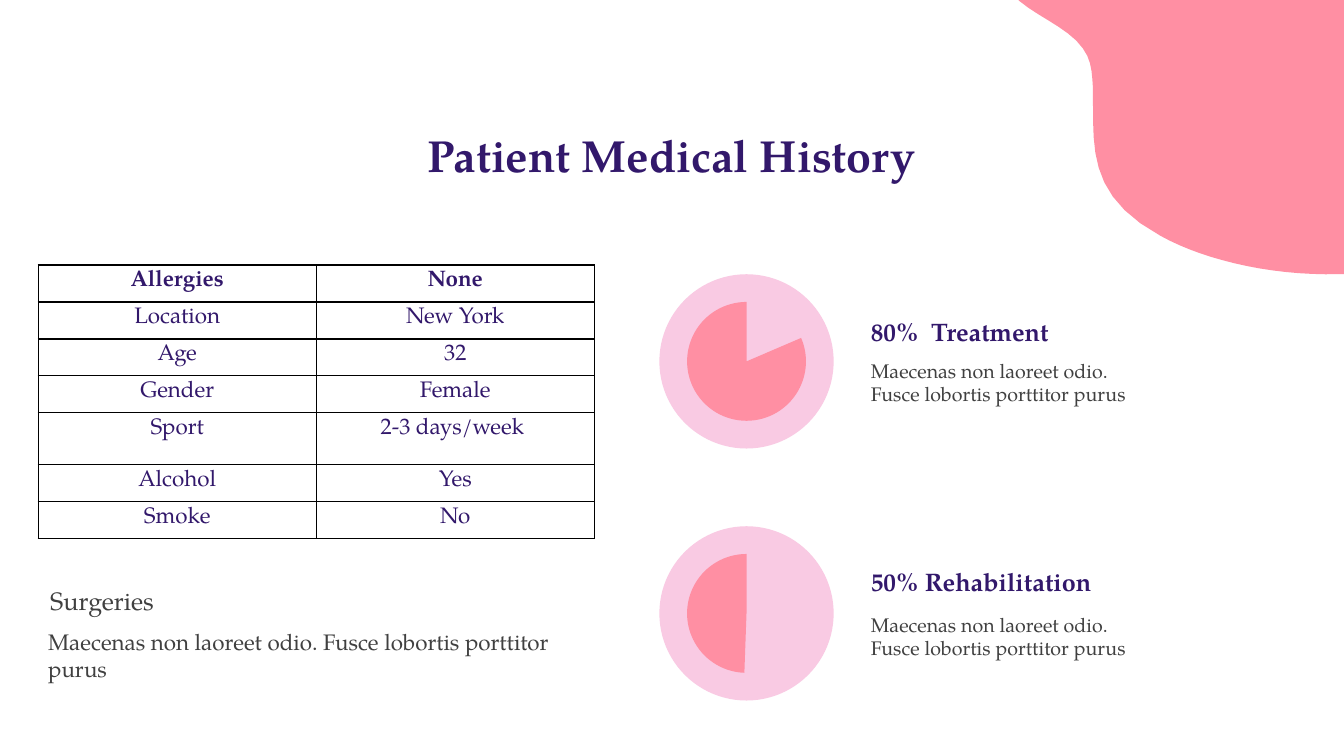
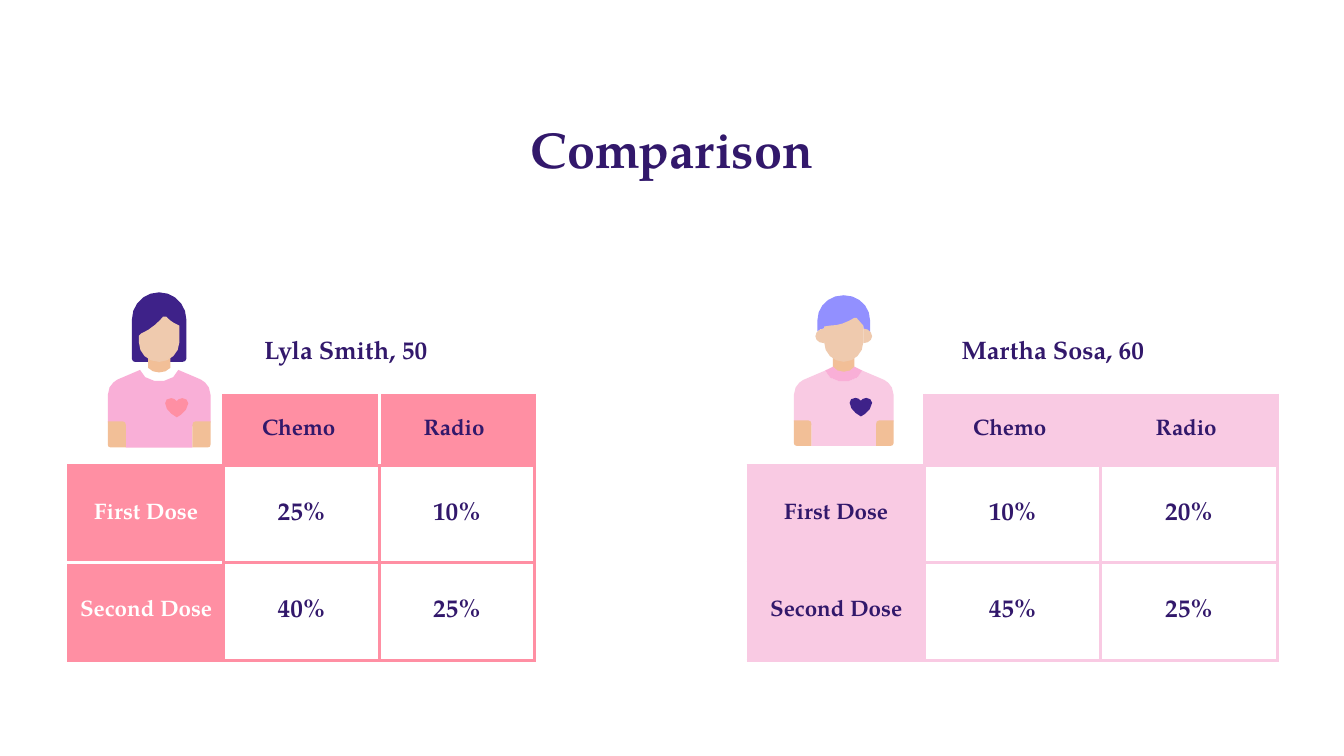
import math
from dataclasses import dataclass

import lxml.etree
import pptx
import pptx.dml.color
import pptx.enum.shapes
import pptx.enum.text
import pptx.oxml.ns
import pptx.util

# Shared style: a grid of 32 columns by 18 rows of square cells
COLUMNS, ROWS = 32, 18
CELL = pptx.util.Inches(7.5) / ROWS
FONT = "TeX Gyre Pagella"
COLORS = {
    "ink": "32186B", "gray": "404040", "black": "000000", "white": "FFFFFF",
    "coral": "FF8FA3", "blush": "F9CAE3", "pink": "F9AFD7", "violet": "3E2289",
    "lilac": "9290FF", "skin": "EFCAAE", "tan": "F2BF97",
}
ALIGN = pptx.enum.text.PP_ALIGN
ANCHOR = pptx.enum.text.MSO_ANCHOR
SHAPE = pptx.enum.shapes.MSO_SHAPE
DETAIL = "Maecenas non laoreet odio. Fusce lobortis porttitor purus"


@dataclass(frozen=True)
class Box:
    left: float
    top: float
    width: float
    height: float

    def lengths(self) -> list[int]:
        return [grid(n) for n in (self.left, self.top, self.width, self.height)]


@dataclass(frozen=True)
class Outline:
    """Curve commands in hundredths of an inch around an origin."""
    color: str
    commands: str
    mirrored: bool = False


@dataclass(frozen=True)
class Progress:
    heading: str
    top: float
    start_angle: float
    heading_offset: float
    detail_offset: float


@dataclass(frozen=True)
class Patient:
    name: str
    name_left: float
    table_left: float
    column_width: float
    color: str
    divider: str
    label_color: str
    doses: tuple[tuple[str, str], tuple[str, str]]
    figure: tuple[Outline, ...]
    figure_left: float
    figure_top: float
    figure_scale: float


# Figure parts used by both patients
NECK = Outline("tan", "M 11 64 C 4 68 -4 68 -11 64 L -11 75 C -6 81 6 81 11 75")
SHIRT = ("M 19 77 C 15 92 -15 92 -19 77 L -40 86 C -40 86 -51 90 -51 102 L -51 129 "
         "L -37 129 L -33 133 L -33 154 L 33 154 L 33 133 L 37 129 "
         "L 51 129 L 51 102 C 51 90 40 86 40 86")
HEART = ("M 23 105 C 20 105 18 107 17.5 108 C 16 106 14 105 12 105 C 8 105 6 107 6 110 "
         "C 6 116 12 121 17.5 124 C 20 123 29 117 29 110 C 29 107 26 105 23 105")
ARM = ("M -51 128 L -51 151 C -51 153 -50 154 -48 154 L -33 154 L -33 132 "
       "C -33 130 -34 128 -36 128")
EAR = "M 20 34 L 20 49 C 25 49 29 46 29 42 C 29 38 25 34 20 34"
ARMS = (Outline("tan", ARM), Outline("tan", ARM, mirrored=True))

LONG_HAIRED = (
    Outline("violet", "M 0 0 C -15 0 -27 12 -27 27 L -27 66 C -27 68 -25 69 -24 69 "
            "L 23 69 C 25 69 27 68 27 66 L 27 27 C 27 12 15 0 0 0"),
    NECK, Outline("pink", SHIRT), Outline("coral", HEART), *ARMS,
    Outline("skin", "M 5 24 L 4 24 C 1 28 -8 37 -18 41 C -19 41 -20 42 -20 43 L -20 50 "
            "C -20 60 -12 69 0 69 C 11 69 20 60 20 50 L 20 33 L 18 32 "
            "C 16 31 11 29 7 24 L 5 24"),
)
SHORT_HAIRED = (
    NECK, Outline("blush", SHIRT),
    Outline("pink", "M -11 73 L -19 77 C -15 92 15 92 19 77 L 11 73 C 7 80 -7 80 -11 73"),
    Outline("violet", HEART), *ARMS,
    Outline("lilac", "M 0 0 C -15 0 -27 11 -27 26 L -27 37 C -25 35 -22 34 -20 34 L -20 33 "
            "L -18 32 C -5 33 4 29 10 25 L 13 25 L 20 32 L 20 34 "
            "C 22 34 25 37 27 38 L 27 26 C 27 11 15 0 0 0"),
    Outline("skin", EAR), Outline("skin", EAR, mirrored=True),
    Outline("skin", "M 11 23 C 3 28 -5 31 -14 31 L -20 32 L -20 48 "
            "C -20 59 -11 68 0 68 C 11 68 20 59 20 48 L 20 31 L 13 23"),
)
CORNER_WAVE = Outline(
    "coral", "M -323 0 L 0 0 L 0 272 L -5 272 C -45 273 -85 268 -121 258 "
    "C -143 252 -164 244 -182 234 C -257 193 -248 144 -249 87 "
    "C -250 73 -250 60 -259 48 C -272 29 -303 17 -322 1")

# Slide content
HISTORY = (("Allergies", "None"), ("Location", "New York"), ("Age", "32"),
           ("Gender", "Female"), ("Sport", "2-3 days/week "), ("Alcohol", "Yes"),
           ("Smoke", "No"))
PROGRESS = (Progress("80%  Treatment", 6.53, 336.76, 0.89, 1.89),
            Progress("50% Rehabilitation", 12.53, 92.05, 0.84, 1.94))
PATIENTS = (
    Patient("Lyla Smith, 50", 6.05, 1.63, 3.7, "coral", "white", "white",
            (("25%", "10%"), ("40%", "25%")), LONG_HAIRED, 3.79, 6.96, 1),
    Patient("Martha Sosa, 60", 22.66, 17.81, 4.2, "blush", "blush", "ink",
            (("10%", "20%"), ("45%", "25%")), SHORT_HAIRED, 20.09, 7.03, 0.97),
)


def grid(cells: float) -> int:
    return round(cells * CELL)


def rgb(name: str) -> pptx.dml.color.RGBColor:
    return pptx.dml.color.RGBColor.from_string(COLORS[name])


def write_text(frame, text: str, *, size: float, color: str = "ink",
               bold: bool = False, align=ALIGN.LEFT) -> None:
    paragraph = frame.paragraphs[0]
    paragraph.alignment = align
    run = paragraph.add_run()
    run.text = text
    run.font.name, run.font.size, run.font.bold = FONT, pptx.util.Pt(size), bold
    run.font.color.rgb = rgb(color)


def add_text(slide, box: Box, text: str, **style) -> None:
    frame = slide.shapes.add_textbox(*box.lengths()).text_frame
    frame.word_wrap = True
    write_text(frame, text, **style)


def add_titled_slide(presentation, title: str, top: float, size: float):
    slide = presentation.slides.add_slide(presentation.slide_layouts[5])
    shape = slide.shapes.title
    shape.left, shape.top, shape.width, shape.height = Box(0, top, COLUMNS, 1.6).lengths()
    shape.text_frame.vertical_anchor = ANCHOR.TOP
    shape.text_frame.auto_size = pptx.enum.text.MSO_AUTO_SIZE.NONE
    write_text(shape.text_frame, title, size=size, bold=True, align=ALIGN.CENTER)
    return slide


def paint(shape, color: str) -> None:
    shape.shadow.inherit = False
    shape.fill.solid()
    shape.fill.fore_color.rgb = rgb(color)
    shape.line.fill.background()


def add_preset(slide, kind, box: Box, color: str):
    shape = slide.shapes.add_shape(kind, *box.lengths())
    paint(shape, color)
    return shape


def trace(commands: str) -> list[tuple[float, float]]:
    """Turn move, line and cubic curve commands into points."""
    points: list[tuple[float, float]] = []
    for segment in commands.replace("L", "|L").replace("C", "|C").split("|"):
        kind, *values = segment.split()
        numbers = [float(value) for value in values]
        pairs = list(zip(numbers[::2], numbers[1::2]))
        if kind != "C":
            points += pairs
            continue
        controls = [points[-1], *pairs]
        # Longer curves get more points
        steps = max(1, round(0.8 * math.sqrt(math.dist(controls[0], controls[-1]))))
        for step in range(1, steps + 1):
            t = step / steps
            weights = ((1 - t) ** 3, 3 * t * (1 - t) ** 2, 3 * t * t * (1 - t), t ** 3)
            points.append(tuple(sum(w * control[axis] for w, control in zip(weights, controls))
                                for axis in (0, 1)))
    return points


def add_outline(slide, outline: Outline, left: float, top: float, scale: float = 1) -> None:
    unit = pptx.util.Inches(0.01) * scale
    side = -1 if outline.mirrored else 1
    points = [(grid(left) + side * x * unit, grid(top) + y * unit)
              for x, y in trace(outline.commands)]
    builder = slide.shapes.build_freeform(*points[0], scale=1.0)
    builder.add_line_segments(points[1:], close=True)
    paint(builder.convert_to_shape(), outline.color)


def add_plain_table(slide, left: float, top: float, widths: list[float], heights: list[float]):
    box = Box(left, top, sum(widths), sum(heights))
    table = slide.shapes.add_table(len(heights), len(widths), *box.lengths()).table
    table.first_row = table.horz_banding = False
    for column, width in zip(table.columns, widths):
        column.width = grid(width)
    for row, height in zip(table.rows, heights):
        row.height = grid(height)
    return table


def format_cell(cell, borders: dict[str, str | None], points: float,
                fill: str | None = None) -> None:
    properties = cell._tc.get_or_add_tcPr()
    qualified = pptx.oxml.ns.qn
    for edge in "LRTB":
        line = lxml.etree.SubElement(properties, qualified(f"a:ln{edge}"),
                                     w=str(pptx.util.Pt(points)))
        color = borders[edge]
        if color is None:
            lxml.etree.SubElement(line, qualified("a:noFill"))
        else:
            solid = lxml.etree.SubElement(line, qualified("a:solidFill"))
            lxml.etree.SubElement(solid, qualified("a:srgbClr"), val=COLORS[color])
    if fill is None:
        cell.fill.background()
    else:
        cell.fill.solid()
        cell.fill.fore_color.rgb = rgb(fill)


def add_progress(slide, item: Progress) -> None:
    ring, pie = 4.15, 2.83
    inset = (ring - pie) / 2
    add_preset(slide, SHAPE.OVAL, Box(15.7, item.top, ring, ring), "blush")
    wedge = add_preset(slide, SHAPE.PIE, Box(15.7 + inset, item.top + inset, pie, pie), "coral")
    for index, degrees in enumerate((item.start_angle, 270)):
        wedge.adjustments[index] = degrees * 0.6
    add_text(slide, Box(20.5, item.top + item.heading_offset, 8.45, 0.96),
             item.heading, size=18, bold=True)
    add_text(slide, Box(20.5, item.top + item.detail_offset, 7.27, 1.37),
             DETAIL, size=14, color="gray")


def add_patient(slide, patient: Patient) -> None:
    table = add_plain_table(slide, patient.table_left, 9.41,
                            [patient.column_width] * 3, [1.68, 2.31, 2.32])
    texts = (("", "Chemo ", "Radio "), ("First Dose", *patient.doses[0]),
             ("Second Dose", *patient.doses[1]))
    for row, line in enumerate(texts):
        for column, text in enumerate(line):
            cell = table.cell(row, column)
            corner = row == column == 0
            header = not corner and 0 in (row, column)
            borders = dict.fromkeys("LRTB", patient.color)
            if corner:
                borders["L"] = borders["T"] = None
            elif row == 0:
                borders["R" if column == 1 else "L"] = patient.divider
            elif column == 0:
                borders["B" if row == 1 else "T"] = patient.divider
            if row == 0 and column == 2:
                borders["R"] = patient.color
            format_cell(cell, borders, 2.25, patient.color if header else None)
            if corner:
                continue
            cell.vertical_anchor = ANCHOR.MIDDLE
            cell.margin_top = cell.margin_bottom = pptx.util.Inches(0.1)
            write_text(cell.text_frame, text, size=16 if header else 18, bold=True,
                       color=patient.label_color if column == 0 else "ink",
                       align=ALIGN.CENTER)
    for part in patient.figure:
        add_outline(slide, part, patient.figure_left, patient.figure_top, patient.figure_scale)
    add_text(slide, Box(patient.name_left, 7.85, 7.7, 0.96), patient.name, size=18, bold=True)


def build_history(presentation) -> None:
    slide = add_titled_slide(presentation, "Patient Medical History", 2.93, 32)
    add_outline(slide, CORNER_WAVE, COLUMNS, 0)
    heights = [1.24 if label == "Sport" else 0.88 for label, _ in HISTORY]
    table = add_plain_table(slide, 0.91, 6.31, [6.62, 6.62], heights)
    for row, line in enumerate(HISTORY):
        for column, text in enumerate(line):
            cell = table.cell(row, column)
            format_cell(cell, dict.fromkeys("LRTB", "black"), 1)
            write_text(cell.text_frame, text, size=16, bold=row == 0, align=ALIGN.CENTER)
    add_text(slide, Box(0.96, 13.82, 8.04, 0.96), "Surgeries", size=18, color="gray")
    add_text(slide, Box(0.91, 14.83, 12.43, 1.54), DETAIL, size=16, color="gray")
    for item in PROGRESS:
        add_progress(slide, item)


def build_comparison(presentation) -> None:
    slide = add_titled_slide(presentation, "Comparison", 2.69, 36)
    for patient in PATIENTS:
        add_patient(slide, patient)


def main() -> None:
    presentation = pptx.Presentation()
    presentation.slide_width, presentation.slide_height = grid(COLUMNS), grid(ROWS)
    build_history(presentation)
    build_comparison(presentation)
    presentation.save("out.pptx")


if __name__ == "__main__":
    main()
